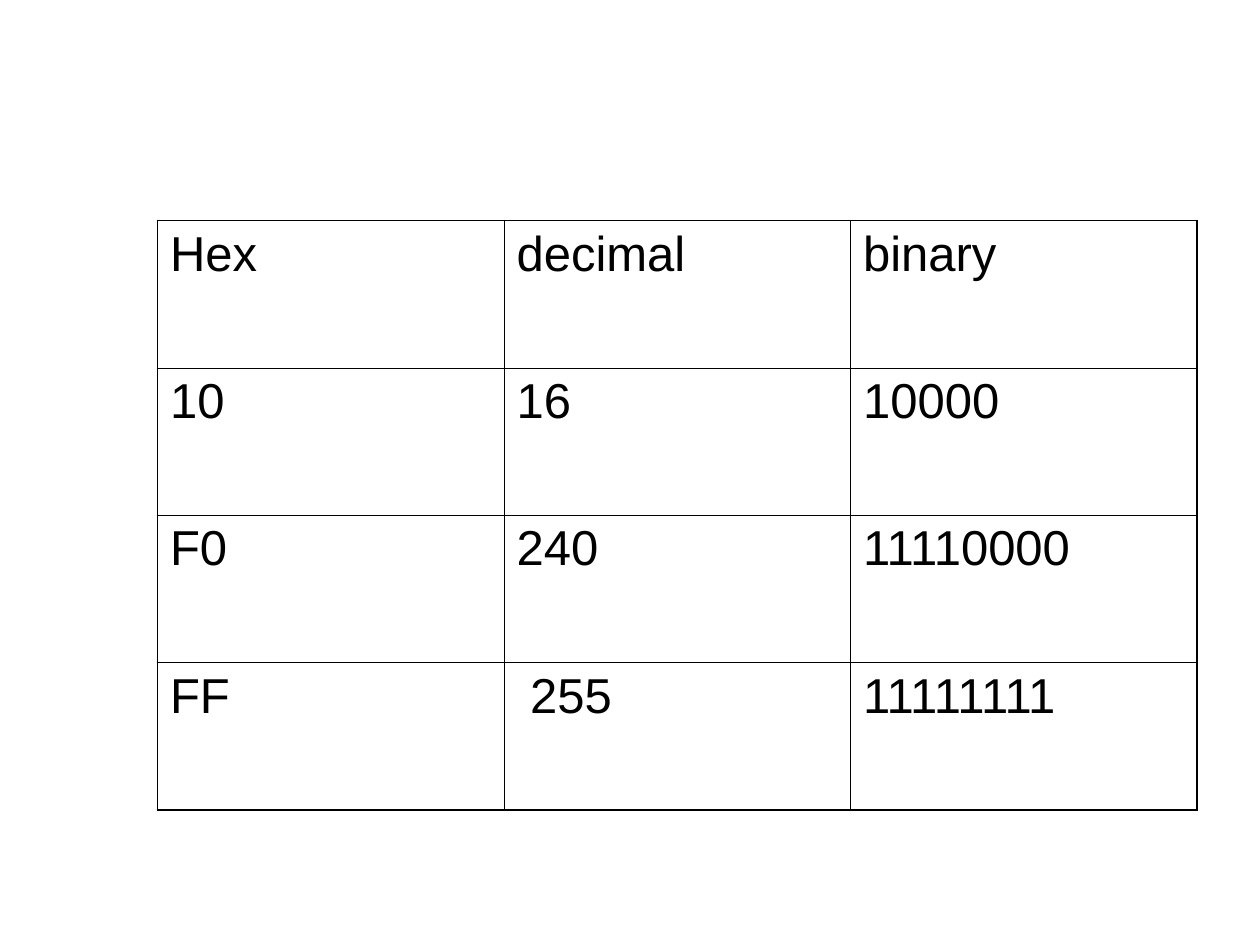
from dataclasses import dataclass

from lxml.etree import SubElement
from pptx import Presentation
from pptx.dml.color import RGBColor as RGB
from pptx.oxml.ns import qn
from pptx.util import Inches, Pt


@dataclass(frozen=True)
class Theme:
    font: str = "Arial"
    size: float = 28
    space_before: float = 7
    ink: str = "000000"
    paper: str = "FFFFFF"
    outer_line: float = 1.08
    inner_line: float = 0.45


class Deck:
    def __init__(self, prs, theme):
        self.theme = theme
        self.slide = prs.slides.add_slide(prs.slide_layouts[6])
        fill = self.slide.background.fill
        fill.solid()
        fill.fore_color.rgb = RGB.from_string(theme.paper)

    def table(self, rows, left, top, col_width, row_height):
        n_rows, n_cols = len(rows), len(rows[0])
        tbl = self.slide.shapes.add_table(
            n_rows, n_cols, Inches(left), Inches(top),
            Inches(col_width * n_cols), Inches(row_height * n_rows)).table
        tbl.first_row = tbl.horz_banding = False
        for i, row in enumerate(rows):
            for j, text in enumerate(row):
                cell = tbl.cell(i, j)
                self.cell_text(cell, text)
                self.cell_borders(cell, {
                    "lnL": j == 0, "lnR": j == n_cols - 1,
                    "lnT": i == 0, "lnB": i == n_rows - 1})
                cell.fill.background()

    def cell_text(self, cell, text):
        t = self.theme
        cell.text = text
        p = cell.text_frame.paragraphs[0]
        p.space_before = Pt(t.space_before)
        p.font.name, p.font.size = t.font, Pt(t.size)
        p.font.color.rgb = RGB.from_string(t.ink)

    def cell_borders(self, cell, sides):
        t = self.theme
        tc_pr = cell._tc.get_or_add_tcPr()
        for tag, is_outer in sides.items():
            width = Pt(t.outer_line if is_outer else t.inner_line)
            ln = SubElement(tc_pr, qn(f"a:{tag}"), w=str(width))
            fill = SubElement(ln, qn("a:solidFill"))
            SubElement(fill, qn("a:srgbClr"), val=t.ink)


def main():
    prs = Presentation()
    prs.slide_width, prs.slide_height = Inches(10), Inches(7.5)
    deck = Deck(prs, Theme())
    conversions = [
        ("Hex", "decimal", "binary"),
        ("10", "16", "10000"),
        ("F0", "240", "11110000"),
        ("FF", " 255", "11111111"),
    ]
    deck.table(conversions, left=1.25, top=1.75, col_width=2.75, row_height=1.17)
    prs.save("out.pptx")


if __name__ == "__main__":
    main()
